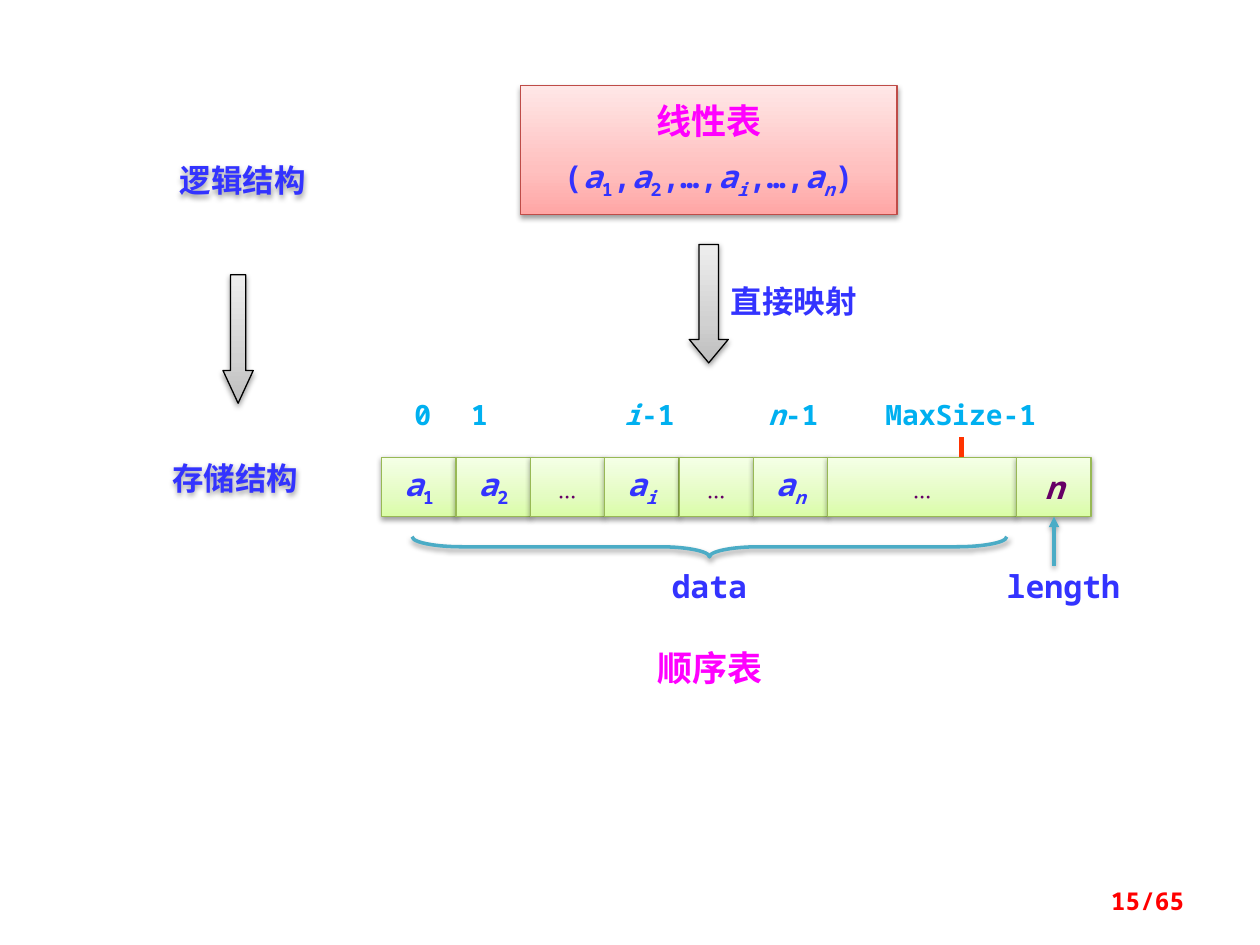
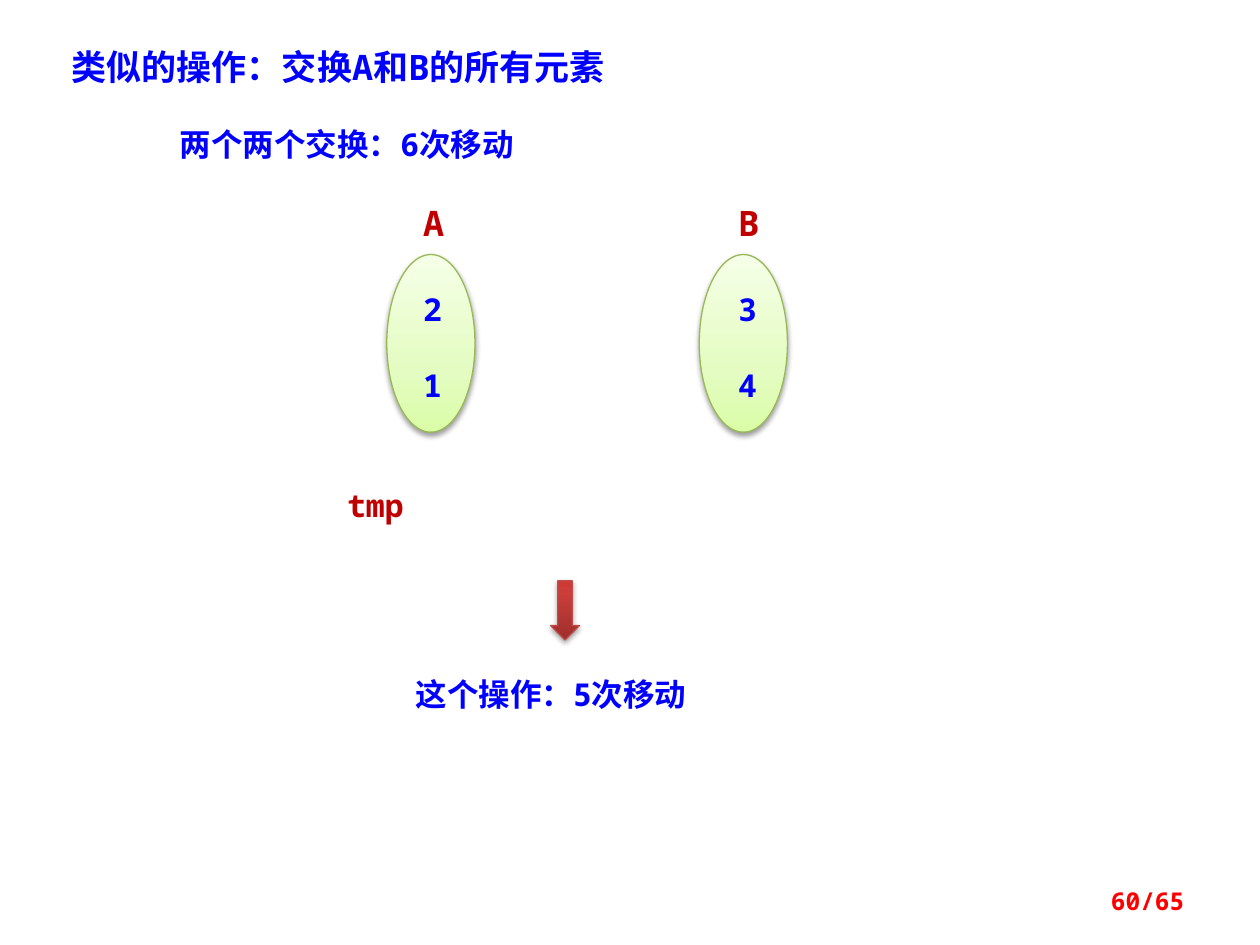
from copy import deepcopy
from dataclasses import dataclass

from lxml.etree import SubElement
from pptx import Presentation
from pptx.dml.color import RGBColor
from pptx.enum.shapes import MSO_CONNECTOR, MSO_SHAPE
from pptx.enum.text import MSO_ANCHOR, MSO_AUTO_SIZE, PP_ALIGN
from pptx.oxml.ns import qn
from pptx.util import Inches, Pt


@dataclass(frozen=True)
class Theme:
    mono: str = "Noto Sans Mono"
    cjk: str = "Noto Sans CJK SC"
    # Type sizes
    big: int = 20
    body: int = 18
    index: int = 16
    foot: int = 14
    # Text and line colours
    ink: str = "3333FF"
    blue: str = "0000FF"
    pink: str = "FF00FF"
    plum: str = "660066"
    sky: str = "00B0F0"
    wine: str = "C00000"
    red: str = "FF0000"
    mark: str = "FF3300"
    teal: str = "4BACC6"
    # Gradient stops from bottom to top, then the outline
    green: tuple = (((0, "DAFDA7"), (.35, "E4FCC2"), (1, "F5FFE7")), "98B955")
    rose: tuple = (((0, "FFA6A5"), (.35, "FFC0BF"), (1, "FFE7E7")), "BF4C48")
    gray: tuple = (((0, "BDBDBD"), (.35, "D1D1D1"), (1, "EEEEEE")), "000000")
    brick: tuple = (((0, "9C2F2D"), (.8, "CB3E3A"), (1, "CE3B37")), "BF4C48")


THEME = Theme()


def color(code):
    return RGBColor.from_string(code)


def put(frame, text, size=THEME.body, ink=THEME.ink, font=THEME.mono,
        align=PP_ALIGN.CENTER):
    """Add a paragraph; text is a string or (text, marks) pairs, i italic, s subscript."""
    para = frame.paragraphs[0]
    if para.runs:
        para = frame.add_paragraph()
        para.space_before = Pt(size / 2)
    para.alignment = align
    for part, marks in [(text, "")] if isinstance(text, str) else text:
        run = para.add_run()
        run.text = part
        run.font.size, run.font.bold = Pt(size), True
        run.font.italic = "i" in marks
        run.font.color.rgb = color(ink)
        run.font.name = font
        props = run.font._element
        SubElement(props, qn("a:ea"), typeface=THEME.cjk)
        if "s" in marks:
            props.set("baseline", "-25000")


def term(sub, marks="s"):
    return [("a", "i"), (sub, marks)]


def shade(effects, alpha=38):
    """Fill an effect list with the soft shadow below a shape."""
    drop = SubElement(effects, qn("a:outerShdw"), blurRad="40000", dist="20000",
                      dir="5400000", rotWithShape="0")
    tone = SubElement(drop, qn("a:srgbClr"), val="000000")
    SubElement(tone, qn("a:alpha"), val=str(alpha * 1000))


class Deck:
    def __init__(self, theme):
        self.theme = theme
        self.file = Presentation()
        self.file.slide_width, self.file.slide_height = Inches(10), Inches(7.5)
        self.slide = None

    def page(self, number):
        self.slide = self.file.slides.add_slide(self.file.slide_layouts[6])
        foot = self.text(number, 7.17, 6.95, 2.33, size=self.theme.foot,
                         ink=self.theme.red, align=PP_ALIGN.RIGHT)
        foot.text_frame.vertical_anchor = MSO_ANCHOR.MIDDLE

    def text(self, text, left, top, width, height=.4, shadow=False, **style):
        box = self.slide.shapes.add_textbox(
            Inches(left), Inches(top), Inches(width), Inches(height))
        box.text_frame.word_wrap = True
        box.text_frame.auto_size = MSO_AUTO_SIZE.SHAPE_TO_FIT_TEXT
        put(box.text_frame, text, **style)
        if shadow:
            self.drop(box)
        return box

    def drop(self, shape):
        shape.shadow.inherit = False
        shade(shape._element.spPr.find(qn("a:effectLst")))

    def shape(self, kind, left, top, width, height, skin, adjust=()):
        item = self.slide.shapes.add_shape(
            kind, Inches(left), Inches(top), Inches(width), Inches(height))
        stops, edge = skin
        item.fill.gradient()
        item.fill.gradient_angle = 90
        slots = item._element.spPr.find(".//" + qn("a:gsLst"))
        slots.insert(1, deepcopy(slots[0]))
        for slot, (place, tone) in zip(item.fill.gradient_stops, stops):
            slot.position, slot.color.rgb = place, color(tone)
        item.line.color.rgb, item.line.width = color(edge), Pt(.75)
        for spot, value in enumerate(adjust):
            item.adjustments[spot] = value
        self.drop(item)
        item.text_frame.word_wrap = False
        item.text_frame.vertical_anchor = MSO_ANCHOR.MIDDLE
        return item

    def arrow(self, left, top, width, height, skin, head=.5):
        return self.shape(MSO_SHAPE.DOWN_ARROW, left, top, width, height, skin, (.5, head))

    def brace(self, left, top, width, height, ink):
        item = self.slide.shapes.add_shape(
            MSO_SHAPE.RIGHT_BRACE, Inches(left), Inches(top), Inches(width), Inches(height))
        item.rotation = 90
        item.adjustments[0], item.adjustments[1] = 2.49, .5
        item.fill.background()
        item.line.color.rgb, item.line.width = color(ink), Pt(2)
        self.drop(item)

    def line(self, x1, y1, x2, y2, ink, width, head=False):
        item = self.slide.shapes.add_connector(
            MSO_CONNECTOR.STRAIGHT, Inches(x1), Inches(y1), Inches(x2), Inches(y2))
        item.line.color.rgb, item.line.width = color(ink), Pt(width)
        props = item._element.spPr
        if head:
            SubElement(props.find(qn("a:ln")), qn("a:tailEnd"), type="triangle")
        effects = SubElement(props, qn("a:effectLst"))
        if head:
            shade(effects)
        return item


def mapping(deck):
    """A linear list mapped onto a sequential list."""
    t = deck.theme
    deck.page("15/65")

    # Logical structure
    deck.text("逻辑结构", .98, 1.23, 1.89, shadow=True)
    table = deck.shape(MSO_SHAPE.RECTANGLE, 4.13, .68, 2.99, 1.02, t.rose).text_frame
    put(table, "线性表", size=t.big, ink=t.pink)
    dots = (",…,", "")
    put(table, [("(", ""), *term("1"), (",", ""), *term("2"), dots, *term("i", "is"),
                dots, *term("n", "is"), (")", "")])

    # Mapping arrows
    deck.arrow(5.47, 1.94, .31, .94, t.gray, .6)
    deck.text("直接映射", 5.7, 2.19, 1.5, font=t.cjk, align=PP_ALIGN.LEFT)
    deck.arrow(1.77, 2.18, .24, 1.02, t.gray, 1.08)

    # Storage cells
    deck.text("存储结构", .92, 3.59, 1.89, shadow=True)
    left, top, small, high = 3.03, 3.63, .59, .47
    gap = ([("…", "s")], {"ink": t.plum, "font": t.cjk})
    cells = [(small, term("1"), {}), (small, term("2"), {}), (small, *gap),
             (small, term("i", "is"), {}), (small, *gap), (small, term("n", "is"), {}),
             (1.5, *gap), (small, [("n", "i")], {"ink": t.plum})]
    for width, text, style in cells:
        cell = deck.shape(MSO_SHAPE.RECTANGLE, left, top, width, high, t.green)
        put(cell.text_frame, text, **style)
        left += width

    # Index labels
    for text, x, width in [("0", 3.08, .55), ("1", 3.53, .55),
                           ([("i", "i"), ("-1", "")], 4.84, .63),
                           ([("n", "i"), ("-1", "")], 5.94, .71),
                           ("MaxSize-1", 6.8, 1.65)]:
        deck.text(text, x, 3.11, width, .37, size=t.index, ink=t.sky)
    deck.line(7.63, 3.47, 7.63, top, t.mark, 3)

    # Members of the sequential list
    deck.brace(5.55, 1.98, .16, 4.72, t.teal)
    deck.text("data", 5.08, 4.45, 1.1)
    deck.text("length", 7.81, 4.45, 1.26)
    mid = left - small / 2
    deck.line(mid, 4.49, mid, top + high, t.teal, 2, head=True).end_connect(cell, 2)
    deck.text("顺序表", 4.69, 5.08, 1.89, .44, size=t.big, ink=t.pink)


def swap(deck):
    """Swapping all elements of A and B."""
    t = deck.theme
    deck.page("60/65")

    # Headings
    lead = {"ink": t.blue, "align": PP_ALIGN.LEFT}
    deck.text("类似的操作：交换A和B的所有元素", .47, .31, 5.39, .44, size=t.big, **lead)
    deck.text("两个两个交换：6次移动", 1.33, .94, 3.05, **lead)

    # The two sets
    for name, oval, left, items in [("A", 3.07, 3.26, "21"), ("B", 5.55, 5.76, "34")]:
        deck.shape(MSO_SHAPE.OVAL, oval, 2.02, .7, 1.41, t.green)
        deck.text(name, left, 1.55, .31, .44, size=t.big, ink=t.wine)
        for row, item in enumerate(items):
            deck.text(item, left, 2.25 + row * .61, .31, ink=t.blue)
    deck.text("tmp", 2.63, 3.81, .7, ink=t.wine)

    # Result
    deck.arrow(4.37, 4.61, .23, .47, t.brick)
    deck.text("这个操作：5次移动", 3.2, 5.31, 2.66, **lead)


def main():
    deck = Deck(THEME)
    mapping(deck)
    swap(deck)
    deck.file.save("out.pptx")


if __name__ == "__main__":
    main()
